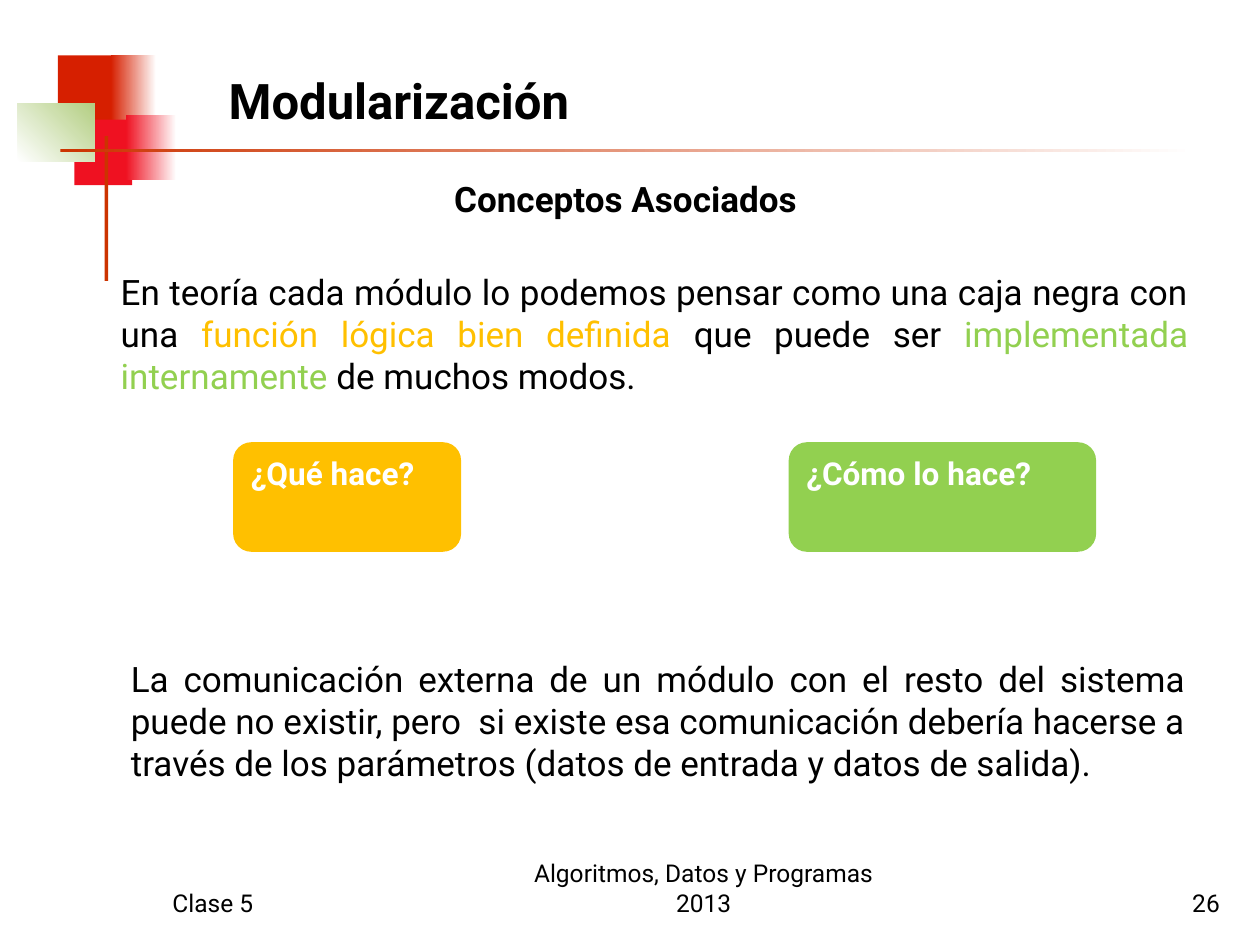
from dataclasses import dataclass

from lxml import etree
from pptx import Presentation
from pptx.dml.color import RGBColor
from pptx.enum import shapes, text
from pptx.oxml.ns import qn
from pptx.util import Inches, Pt


@dataclass(frozen=True)
class Theme:
    font: str = "Roboto"
    black: str = "000000"
    white: str = "FFFFFF"
    red: str = "D61F00"
    crimson: str = "EF1121"
    sage: str = "B3CE82"
    rule: str = "CC3300"
    amber: str = "FFC000"
    green: str = "92D050"
    title: int = 28
    body: int = 20
    label: int = 18
    footer: int = 14


T = Theme()
ALIGN = text.PP_ALIGN
ANCHOR = text.MSO_ANCHOR


def add_block(s, kind, box, start, end=None, angle=0):
    """Add a borderless shape, solid or with a gradient from start to end."""
    sp = s.shapes.add_shape(kind, *map(Inches, box))
    sp.shadow.inherit = False
    sp.line.fill.background()
    if end is None:
        sp.fill.solid()
        sp.fill.fore_color.rgb = RGBColor.from_string(start)
    else:
        sp.fill.gradient()
        sp.fill.gradient_angle = angle
        for stop, position, color in zip(sp.fill.gradient_stops, (0, 1), (start, end)):
            stop.position = position
            stop.color.rgb = RGBColor.from_string(color)
    return sp


def write(sp, runs, size, align=ALIGN.LEFT, anchor=ANCHOR.TOP, bold=False):
    """Fill a shape with one paragraph of (text, colour) runs."""
    tf = sp.text_frame
    tf.word_wrap = True
    tf.auto_size = text.MSO_AUTO_SIZE.NONE
    tf.vertical_anchor = anchor
    p = tf.paragraphs[0]
    p.alignment = align
    for words, color in runs:
        r = p.add_run()
        r.text = words
        r.font.name = T.font
        r.font.size = Pt(size)
        r.font.bold = bold
        r.font.color.rgb = RGBColor.from_string(color)
    return p


prs = Presentation()
prs.slide_width, prs.slide_height = Inches(10), Inches(7.5)
s = prs.slides.add_slide(prs.slide_layouts[1])

# Corner ornament and rules
RECT = shapes.MSO_SHAPE.RECTANGLE
for box, *fill in [
    ((0.46, 0.44, 0.48, 0.52), T.red),
    ((0.88, 0.44, 0.36, 0.52), T.red, T.white),
    ((0.59, 0.95, 0.46, 0.52), T.crimson),
    ((1, 0.91, 0.4, 0.52), T.crimson, T.white),
    ((0.14, 0.82, 0.61, 0.46), T.white, T.sage, 45),
    ((0.83, 1.08, 0.03, 1.15), T.rule),
    ((0.48, 1.18, 9, 0.03), T.rule, T.white),
]:
    add_block(s, RECT, box, *fill)

# Title and subtitle
title, subtitle = s.placeholders
for sp, box in [(title, (0.47, 0.33, 5.39, 0.92)), (subtitle, (1.34, 1.36, 7.25, 0.75))]:
    sp.left, sp.top, sp.width, sp.height = map(Inches, box)
write(title, [("Modularización", T.black)], T.title, ALIGN.CENTER, ANCHOR.MIDDLE, True)
p = write(subtitle, [("Conceptos Asociados", T.black)], T.body, ALIGN.CENTER, bold=True)
pPr = p._p.get_or_add_pPr()
pPr.set("marL", str(Inches(0.38)))
pPr.set("indent", str(Inches(-0.38)))
p.space_before = Pt(0)
etree.SubElement(pPr, qn("a:buNone"))

# Paragraphs and footer
theory = [
    ("En teoría cada módulo lo podemos pensar como una caja negra con una ", T.black),
    ("función lógica bien definida ", T.amber),
    ("que puede ser ", T.black),
    ("implementada internamente ", T.green),
    ("de muchos modos.", T.black),
]
communication = [(
    "La comunicación externa de un módulo con el resto del sistema puede no existir, "
    "pero  si existe esa comunicación debería hacerse a través de los parámetros "
    "(datos de entrada y datos de salida).", T.black)]
course = [("Algoritmos, Datos y Programas 2013", T.black)]
for box, runs, size, align, anchor in [
    ((0.86, 2.1, 8.67, 1.1), theory, T.body, ALIGN.JUSTIFY, ANCHOR.TOP),
    ((0.94, 5.17, 8.57, 1.44), communication, T.body, ALIGN.JUSTIFY, ANCHOR.TOP),
    ((1.27, 6.83, 2.08, 0.5), [("Clase 5", T.black)], T.footer, ALIGN.LEFT, ANCHOR.BOTTOM),
    ((7.7, 6.83, 2.08, 0.5), [("26", T.black)], T.footer, ALIGN.RIGHT, ANCHOR.BOTTOM),
    ((4, 6.83, 3.17, 0.5), course, T.footer, ALIGN.CENTER, ANCHOR.BOTTOM),
]:
    write(s.shapes.add_textbox(*map(Inches, box)), runs, size, align, anchor)

# Question boxes
for left, width, color, question in [
    (1.85, 1.81, T.amber, "¿Qué hace?"),
    (6.26, 2.44, T.green, "¿Cómo lo hace?"),
]:
    sp = add_block(s, shapes.MSO_SHAPE.ROUNDED_RECTANGLE, (left, 3.51, width, 0.87), color)
    write(sp, [(question, T.white)], T.label, bold=True)

prs.save("out.pptx")
